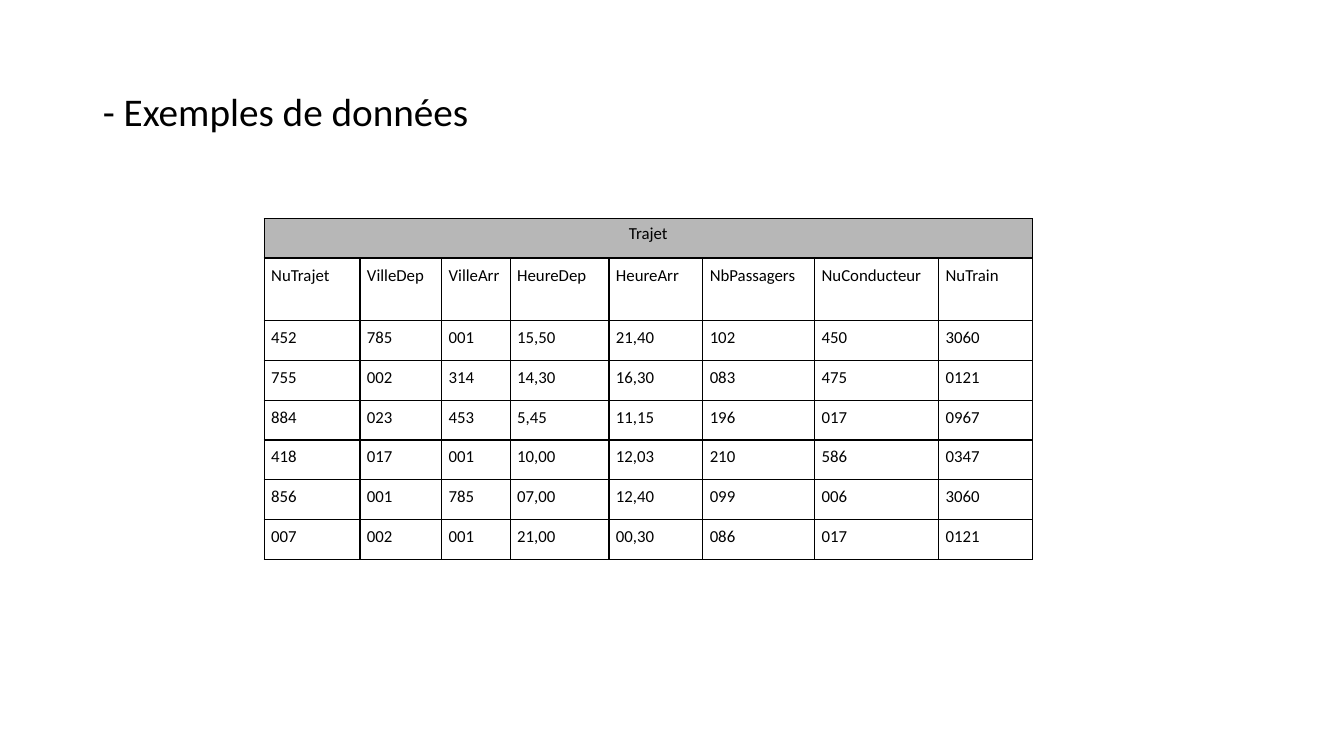
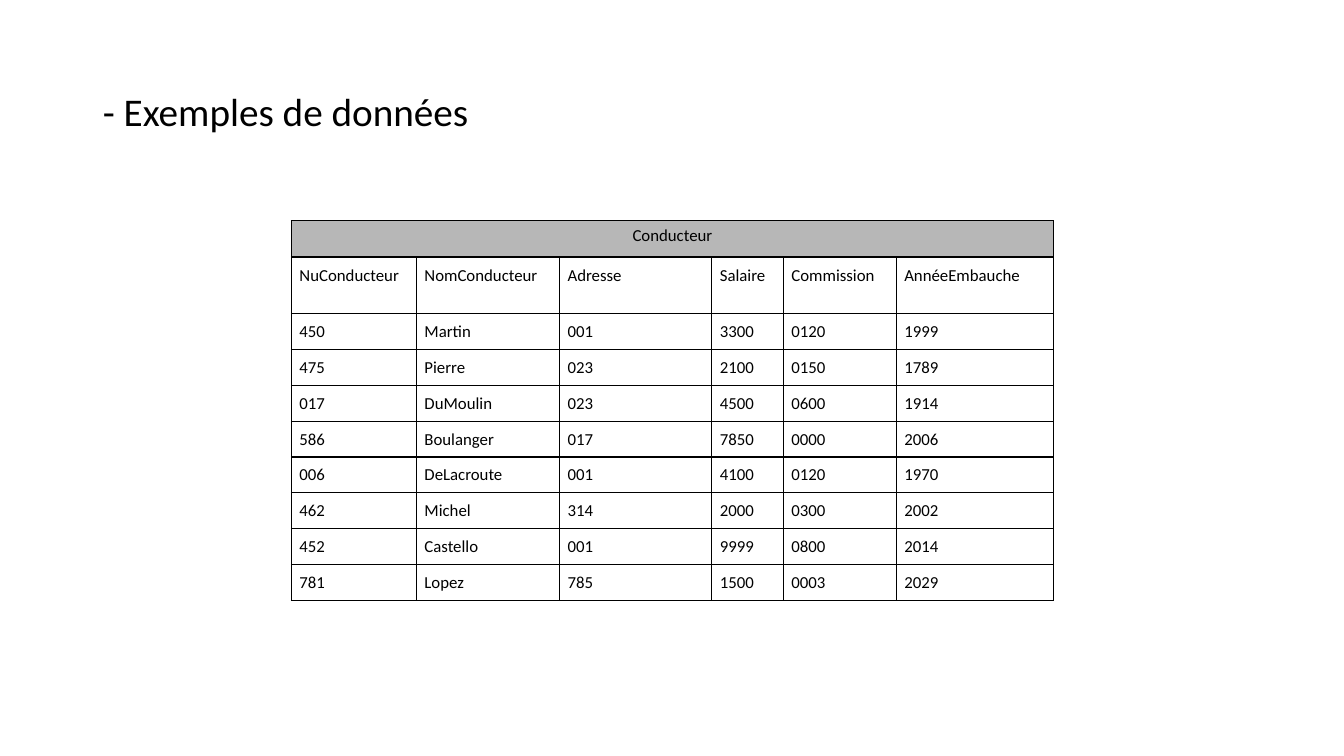
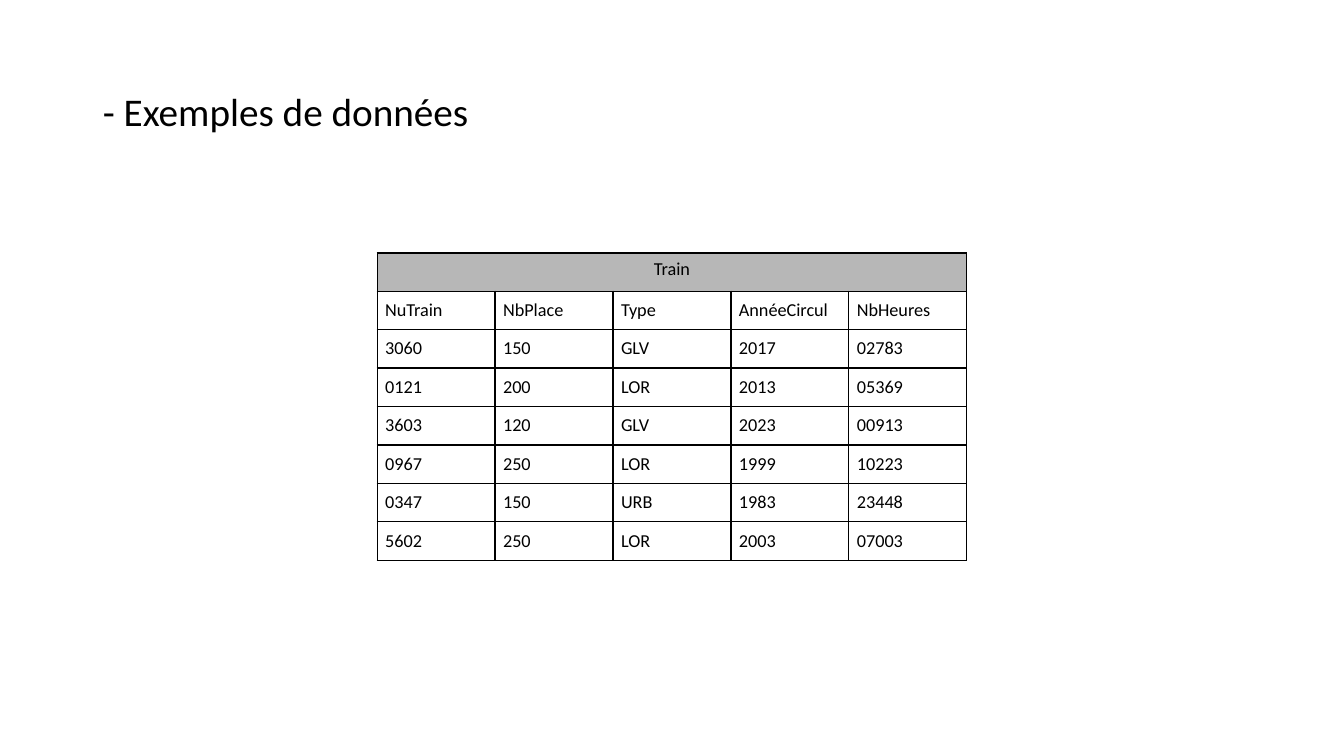
import pptx
import pptx.util
import pptx.dml.color
import pptx.enum.text
import pptx.oxml
import pptx.oxml.ns

Inches, Pt = pptx.util.Inches, pptx.util.Pt
PP_ALIGN = pptx.enum.text.PP_ALIGN
ANCHOR = pptx.enum.text.MSO_ANCHOR

# Shared style
FONT = "Calibri"
BLACK, GREY = "000000", "B7B7B7"
TITLE = "- Exemples de données"
TITLE_BOX = (0.92, 0.4, 11.5, 1.45)
BORDER_PT = 1
BORDER_SIDES = ("lnL", "lnR", "lnT", "lnB")
CAPTION_INSETS = (0.09, 0.05, 0.09, 0.05)

# Content: one table per slide, each with a caption, a header row and data rows
TABLES = [
    {
        "caption": "Trajet", "pos": (2.62, 2.17), "size": 12, "inset": 0.07,
        "cols": (0.95, 0.81, 0.68, 0.98, 0.93, 1.11, 1.23, 0.93),
        "height": 3.38, "caption_h": 0.39, "header_h": 0.62,
        "rows": [
            ("NuTrajet", "VilleDep", "VilleArr", "HeureDep", "HeureArr",
             "NbPassagers", "NuConducteur", "NuTrain"),
            ("452", "785", "001", "15,50", "21,40", "102", "450", "3060"),
            ("755", "002", "314", "14,30", "16,30", "083", "475", "0121"),
            ("884", "023", "453", "5,45", "11,15", "196", "017", "0967"),
            ("418", "017", "001", "10,00", "12,03", "210", "586", "0347"),
            ("856", "001", "785", "07,00", "12,40", "099", "006", "3060"),
            ("007", "002", "001", "21,00", "00,30", "086", "017", "0121"),
        ],
    },
    {
        "caption": "Conducteur", "pos": (2.89, 2.19), "size": 12, "inset": 0.08,
        "cols": (1.24, 1.42, 1.51, 0.71, 1.12, 1.56),
        "height": 3.77, "caption_h": 0.36, "header_h": 0.56,
        "rows": [
            ("NuConducteur", "NomConducteur", "Adresse", "Salaire",
             "Commission", "AnnéeEmbauche"),
            ("450", "Martin", "001", "3300", "0120", "1999"),
            ("475", "Pierre", "023", "2100", "0150", "1789"),
            ("017", "DuMoulin", "023", "4500", "0600", "1914"),
            ("586", "Boulanger", "017", "7850", "0000", "2006"),
            ("006", "DeLacroute", "001", "4100", "0120", "1970"),
            ("462", "Michel", "314", "2000", "0300", "2002"),
            ("452", "Castello", "001", "9999", "0800", "2014"),
            ("781", "Lopez", "785", "1500", "0003", "2029"),
        ],
    },
    {
        "caption": "Train", "pos": (3.74, 2.51), "size": 13, "inset": 0.08,
        "cols": (1.17,) * 5,
        "height": 3.05, "caption_h": 0.38, "header_h": 0.38,
        "rows": [
            ("NuTrain", "NbPlace", "Type", "AnnéeCircul", "NbHeures"),
            ("3060", "150", "GLV", "2017", "02783"),
            ("0121", "200", "LOR", "2013", "05369"),
            ("3603", "120", "GLV", "2023", "00913"),
            ("0967", "250", "LOR", "1999", "10223"),
            ("0347", "150", "URB", "1983", "23448"),
            ("5602", "250", "LOR", "2003", "07003"),
        ],
    },
]


def rgb(value):
    return pptx.dml.color.RGBColor.from_string(value)


def apply(target, values):
    for name, value in values.items():
        setattr(target, name, value)


def write(tf, text, size, align=PP_ALIGN.LEFT, spacing=1.0):
    p = tf.paragraphs[0]
    apply(p, {"alignment": align, "line_spacing": spacing})
    r = p.add_run()
    r.text = text
    apply(r.font, {"name": FONT, "size": Pt(size), "bold": False})
    r.font.color.rgb = rgb(BLACK)


def format_cell(cell, insets, fill=None):
    sides = ("margin_left", "margin_top", "margin_right", "margin_bottom")
    apply(cell, {side: Inches(v) for side, v in zip(sides, insets)})
    tcPr = cell._tc.get_or_add_tcPr()
    for side in BORDER_SIDES:
        tcPr.append(pptx.oxml.parse_xml(
            f'<a:{side} {pptx.oxml.ns.nsdecls("a")} w="{Pt(BORDER_PT)}">'
            f'<a:solidFill><a:srgbClr val="{BLACK}"/></a:solidFill></a:{side}>'))
    if fill:
        cell.fill.solid()
        cell.fill.fore_color.rgb = rgb(fill)
    else:
        cell.fill.background()


def add_data_table(s, data):
    rows, cols = data["rows"], data["cols"]
    table = s.shapes.add_table(
        len(rows) + 1, len(cols), *map(Inches, data["pos"]),
        Inches(sum(cols)), Inches(data["height"])).table
    apply(table, {"first_row": False, "horz_banding": False})

    # Data rows share the height left under the caption and the header
    top = [data["caption_h"], data["header_h"]]
    n_data = len(rows) - 1
    heights = top + [(data["height"] - sum(top)) / n_data] * n_data
    for row, height in zip(table.rows, heights):
        row.height = Inches(height)
    for col, width in zip(table.columns, cols):
        col.width = Inches(width)

    # Caption across all columns
    for cell in table.rows[0].cells:
        format_cell(cell, CAPTION_INSETS, GREY)
    caption = table.cell(0, 0)
    caption.merge(table.cell(0, len(cols) - 1))
    write(caption.text_frame, data["caption"], data["size"], PP_ALIGN.CENTER)

    # Header and data cells
    inset = data["inset"]
    for i, values in enumerate(rows, start=1):
        for j, value in enumerate(values):
            cell = table.cell(i, j)
            format_cell(cell, (inset, inset, inset, 0.07))
            write(cell.text_frame, value, data["size"])


def main():
    prs = pptx.Presentation()
    prs.slide_width, prs.slide_height = Inches(13.33), Inches(7.5)

    # Title position, shared through the layout
    layout = prs.slide_layouts.get_by_name("Title Only")
    box = dict(zip(("left", "top", "width", "height"), map(Inches, TITLE_BOX)))
    apply(layout.placeholders[0], box)

    for data in TABLES:
        s = prs.slides.add_slide(layout)
        tf = s.shapes.title.text_frame
        tf.vertical_anchor = ANCHOR.MIDDLE
        write(tf, TITLE, 28, spacing=0.9)
        add_data_table(s, data)

    prs.save("out.pptx")


if __name__ == "__main__":
    main()
